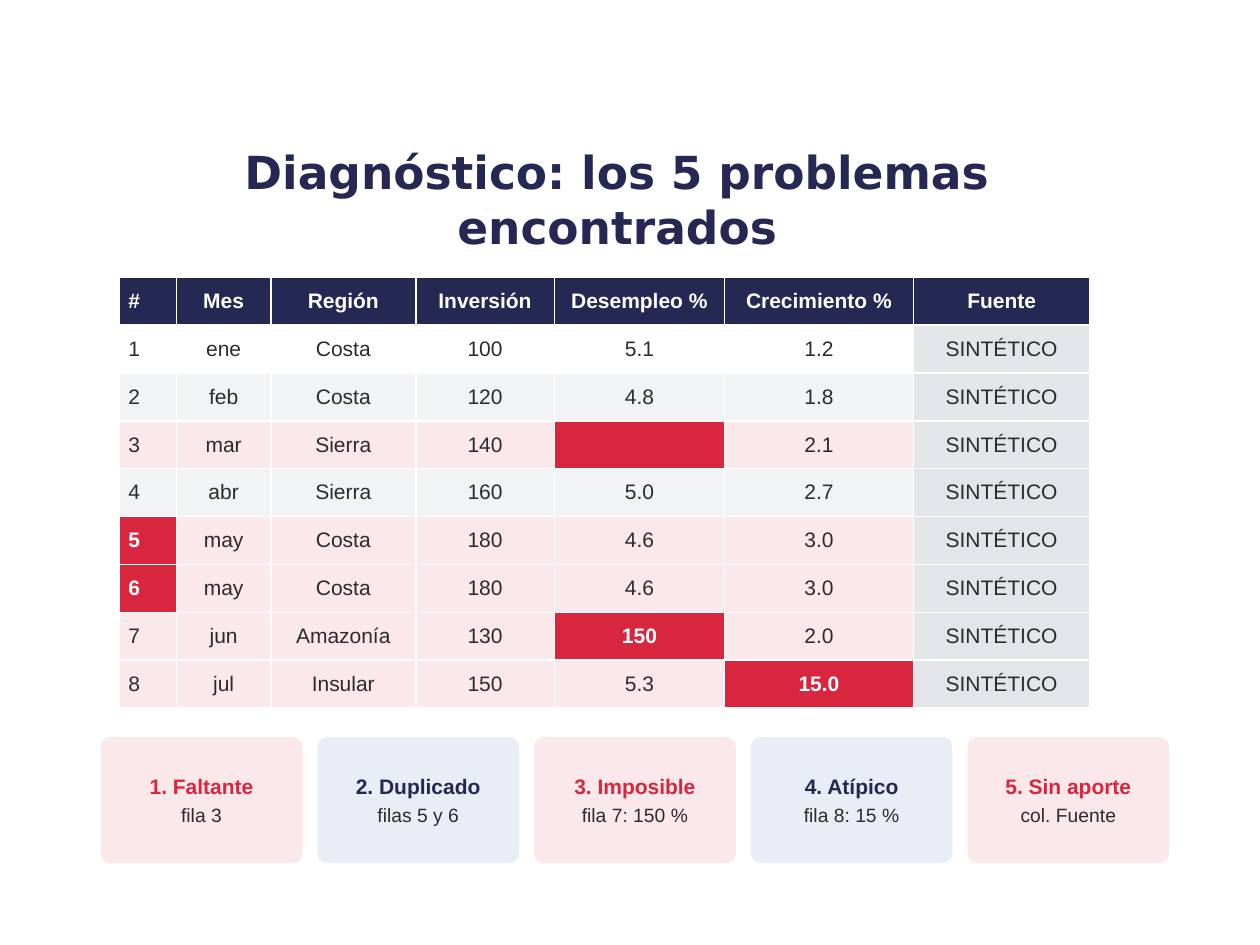
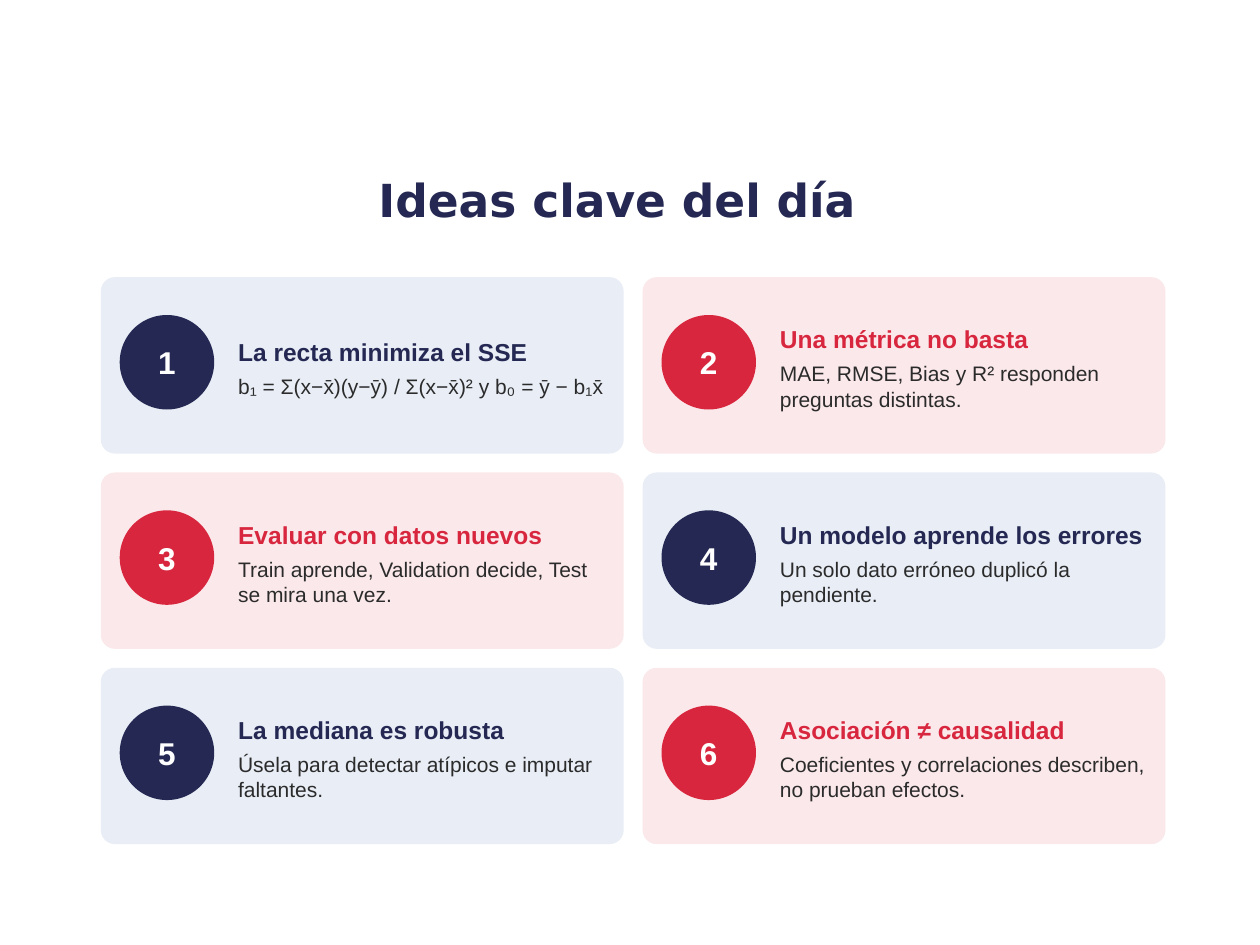
"""Build two slides: a data-quality diagnosis table and the key ideas of the day."""
from pptx import Presentation
from pptx.dml.color import RGBColor
from pptx.enum import shapes, text
from pptx.util import Pt

NAVY = RGBColor(0x24, 0x28, 0x52)
RED = RGBColor(0xD7, 0x26, 0x3D)
PALE_BLUE = RGBColor(0xE8, 0xED, 0xF6)
PALE_RED = RGBColor(0xFB, 0xE8, 0xEA)
STRIPE = RGBColor(0xF2, 0xF3, 0xF5)
GREY = RGBColor(0xE3, 0xE5, 0xE8)
INK = RGBColor(0x2B, 0x2B, 0x2B)
WHITE = RGBColor(0xFF, 0xFF, 0xFF)
BLUE_THEME = (NAVY, PALE_BLUE)
RED_THEME = (RED, PALE_RED)

TITLE_FONT = "DejaVu Sans"
BODY_FONT = "Arial"
CENTER = text.PP_ALIGN.CENTER
LEFT = text.PP_ALIGN.LEFT
CONTENT_LEFT = 57.6
CONTENT_TOP = 158.4

HEADERS = ["#", "Mes", "Región", "Inversión", "Desempleo %", "Crecimiento %", "Fuente"]
COLUMN_WIDTHS = [32.4, 54, 82.8, 79.2, 97.2, 108, 100.8]
ROW_HEIGHT = 27.36
RECORDS = [
    ("ene", "Costa", "100", "5.1", "1.2"),
    ("feb", "Costa", "120", "4.8", "1.8"),
    ("mar", "Sierra", "140", "", "2.1"),
    ("abr", "Sierra", "160", "5.0", "2.7"),
    ("may", "Costa", "180", "4.6", "3.0"),
    ("may", "Costa", "180", "4.6", "3.0"),
    ("jun", "Amazonía", "130", "150", "2.0"),
    ("jul", "Insular", "150", "5.3", "15.0"),
]
PROBLEM_COLUMN_BY_ROW = {3: 4, 5: 0, 6: 0, 7: 4, 8: 5}
PROBLEMS = [
    ("1. Faltante", "fila 3"),
    ("2. Duplicado", "filas 5 y 6"),
    ("3. Imposible", "fila 7: 150 %"),
    ("4. Atípico", "fila 8: 15 %"),
    ("5. Sin aporte", "col. Fuente"),
]
IDEAS = [
    ("La recta minimiza el SSE", "b₁ = Σ(x−x̄)(y−ȳ) / Σ(x−x̄)² y b₀ = ȳ − b₁x̄"),
    ("Una métrica no basta", "MAE, RMSE, Bias y R² responden preguntas distintas."),
    ("Evaluar con datos nuevos", "Train aprende, Validation decide, Test se mira una vez."),
    ("Un modelo aprende los errores", "Un solo dato erróneo duplicó la pendiente."),
    ("La mediana es robusta", "Úsela para detectar atípicos e imputar faltantes."),
    ("Asociación ≠ causalidad", "Coeficientes y correlaciones describen, no prueban efectos."),
]


def add_run(paragraph, words, size, color, bold=False, font=BODY_FONT):
    """Append one formatted run to a paragraph."""
    run = paragraph.add_run()
    run.text = words
    run.font.name = font
    run.font.size = Pt(size)
    run.font.bold = bold
    run.font.color.rgb = color


def set_margins(target, horizontal, vertical):
    """Set the inner margins of a text frame or a table cell."""
    target.margin_left = target.margin_right = Pt(horizontal)
    target.margin_top = target.margin_bottom = Pt(vertical)


def write_lines(shape, lines, margin, alignment=CENTER, space_after=3):
    """Write (words, size, color, bold) lines, one paragraph each."""
    frame = shape.text_frame
    frame.word_wrap = True
    frame.vertical_anchor = text.MSO_ANCHOR.MIDDLE
    set_margins(frame, margin, margin)
    for index, line in enumerate(lines):
        paragraph = frame.add_paragraph() if index else frame.paragraphs[0]
        paragraph.alignment = alignment
        paragraph.space_after = Pt(space_after)
        add_run(paragraph, *line)


def add_filled_shape(slide, kind, left, top, width, height, color):
    """Add a flat preset shape without outline."""
    shape = slide.shapes.add_shape(kind, Pt(left), Pt(top), Pt(width), Pt(height))
    shape.shadow.inherit = False
    shape.fill.solid()
    shape.fill.fore_color.rgb = color
    shape.line.fill.background()
    return shape


def add_card(slide, left, top, width, height, color):
    """Add a card with slightly rounded corners."""
    card = add_filled_shape(
        slide, shapes.MSO_SHAPE.ROUNDED_RECTANGLE, left, top, width, height, color)
    card.adjustments[0] = 0.08
    return card


def add_titled_slide(presentation, words):
    """Add a title-only slide and format its title."""
    slide = presentation.slides.add_slide(presentation.slide_layouts[5])
    title = slide.shapes.title
    title.left, title.top, title.width, title.height = Pt(54), Pt(84.96), Pt(597.6), Pt(57.6)
    frame = title.text_frame
    frame.word_wrap = True
    frame.auto_size = text.MSO_AUTO_SIZE.NONE
    frame.vertical_anchor = text.MSO_ANCHOR.MIDDLE
    frame.paragraphs[0].alignment = CENTER
    add_run(frame.paragraphs[0], words, 26, NAVY, True, TITLE_FONT)
    return slide


def get_cell_style(row, column):
    """Return the fill, text color and weight of a table cell."""
    if row == 0:
        return NAVY, WHITE, True
    if PROBLEM_COLUMN_BY_ROW.get(row) == column:
        return RED, WHITE, True
    if column == len(HEADERS) - 1:
        return GREY, INK, False
    if row in PROBLEM_COLUMN_BY_ROW:
        return PALE_RED, INK, False
    return (WHITE if row % 2 else STRIPE), INK, False


def add_data_table(slide):
    """Add the records table with its problem cells highlighted."""
    rows = [HEADERS]
    rows += [(str(number), *record, "SINTÉTICO") for number, record in enumerate(RECORDS, 1)]
    table = slide.shapes.add_table(
        len(rows), len(HEADERS), Pt(68.4), Pt(CONTENT_TOP),
        Pt(sum(COLUMN_WIDTHS)), Pt(ROW_HEIGHT * len(rows))).table
    for column, width in zip(table.columns, COLUMN_WIDTHS):
        column.width = Pt(width)
    for row_index, row in enumerate(rows):
        table.rows[row_index].height = Pt(ROW_HEIGHT)
        for column_index, words in enumerate(row):
            cell = table.cell(row_index, column_index)
            fill, color, bold = get_cell_style(row_index, column_index)
            cell.fill.solid()
            cell.fill.fore_color.rgb = fill
            cell.vertical_anchor = text.MSO_ANCHOR.MIDDLE
            set_margins(cell, 5.04, 2.16)
            paragraph = cell.text_frame.paragraphs[0]
            paragraph.alignment = CENTER if column_index else LEFT
            if words:
                add_run(paragraph, words, 12, color, bold)


def add_problem_cards(slide):
    """Add the row of problem cards under the table."""
    for index, (name, place) in enumerate(PROBLEMS):
        accent, background = BLUE_THEME if index % 2 else RED_THEME
        card = add_card(slide, CONTENT_LEFT + index * 123.84, 421.2, 115.2, 72, background)
        write_lines(card, [(name, 12, accent, True), (place, 11, INK)], 5.76)


def add_idea_card(slide, index, heading, detail):
    """Add one numbered idea card in the two-column grid."""
    row, column = divmod(index, 2)
    left = CONTENT_LEFT + column * 309.6
    top = CONTENT_TOP + row * 111.6
    accent, background = RED_THEME if (row + column) % 2 else BLUE_THEME
    add_card(slide, left, top, 298.8, 100.8, background)
    badge = add_filled_shape(
        slide, shapes.MSO_SHAPE.OVAL, left + 10.8, top + 21.6, 54, 54, accent)
    write_lines(badge, [(str(index + 1), 18, WHITE, True)], 0)
    box = slide.shapes.add_textbox(Pt(left + 75.6), Pt(top + 8.64), Pt(216), Pt(86.4))
    write_lines(box, [(heading, 14, accent, True), (detail, 12, INK)], 2.88, LEFT, 4)
    box.text_frame.auto_size = text.MSO_AUTO_SIZE.SHAPE_TO_FIT_TEXT


def main():
    """Build and save the presentation."""
    presentation = Presentation()
    presentation.slide_width, presentation.slide_height = Pt(720), Pt(540)

    diagnosis = add_titled_slide(presentation, "Diagnóstico: los 5 problemas encontrados")
    add_data_table(diagnosis)
    add_problem_cards(diagnosis)

    key_ideas = add_titled_slide(presentation, "Ideas clave del día")
    for index, (heading, detail) in enumerate(IDEAS):
        add_idea_card(key_ideas, index, heading, detail)

    presentation.save("out.pptx")


if __name__ == "__main__":
    main()
